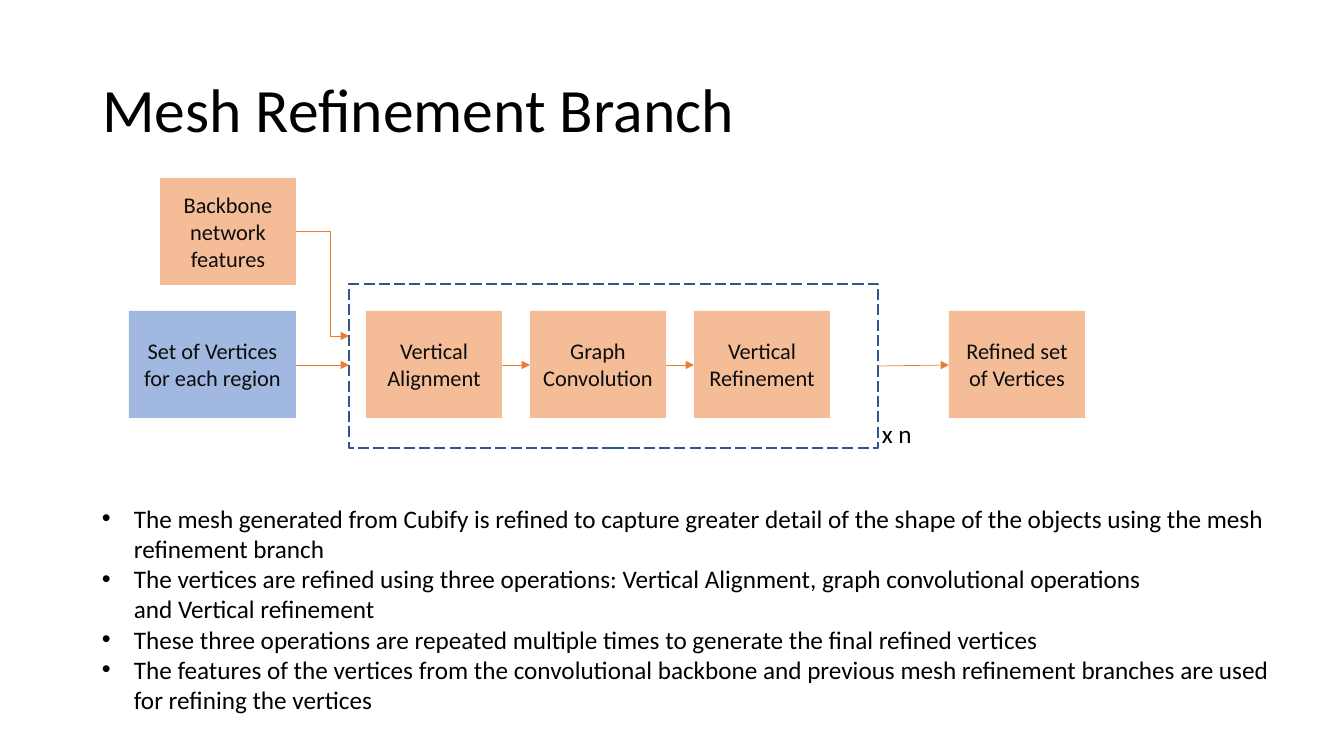
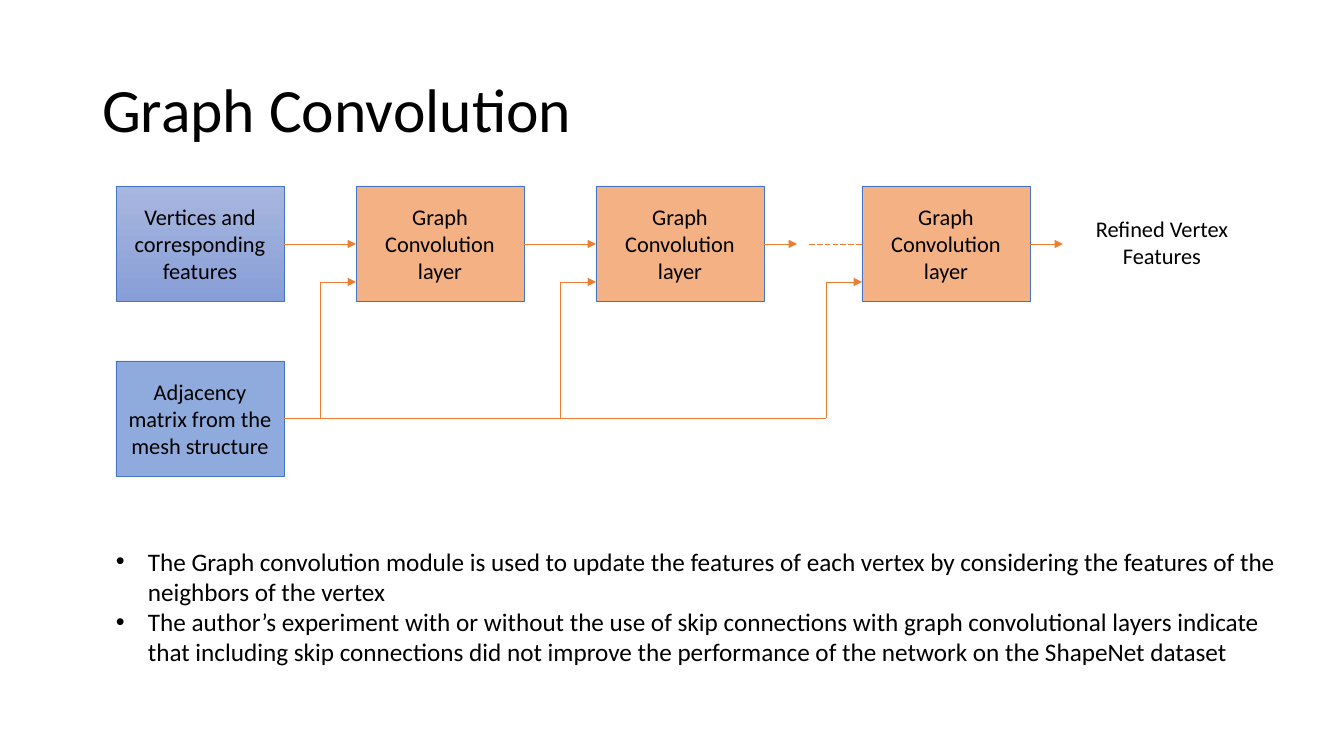
import itertools

import pptx
import pptx.dml.color
import pptx.enum.dml
import pptx.enum.shapes
import pptx.enum.text
import pptx.oxml
import pptx.oxml.ns
import pptx.util

# Content
MESH_TITLE = "Mesh Refinement Branch"
STAGES = ["Vertical Alignment", "Graph Convolution", "Vertical Refinement"]
BACKBONE = "Backbone network features"
VERTEX_SET = "Set of Vertices for each region"
REFINED_SET = "Refined set of Vertices"
REPEAT = "x n"
MESH_POINTS = [
    "The mesh generated from Cubify is refined to capture greater detail of the shape "
    "of the objects using the mesh\vrefinement branch",
    "The vertices are refined using three operations: Vertical Alignment, graph "
    "convolutional operations\vand Vertical refinement",
    "These three operations are repeated multiple times to generate the final refined vertices",
    "The features of the vertices from the convolutional backbone and previous mesh "
    "refinement branches are used\vfor refining the vertices",
]

GRAPH_TITLE = "Graph Convolution"
VERTEX_INPUT = "Vertices and corresponding features"
ADJACENCY = "Adjacency matrix from the mesh structure"
LAYER = "Graph Convolution layer"
OUTPUT = ["Refined Vertex", "Features"]
GRAPH_POINTS = [
    "The Graph convolution module is used to update the features of each vertex by "
    "considering the features of the\vneighbors of the vertex",
    "The author\u2019s experiment with or without the use of skip connections with graph "
    "convolutional layers indicate\vthat including skip connections did not improve the "
    "performance of the network on the ShapeNet dataset",
]

# Shared style
FONT = "Calibri"
BLACK, INK = "000000", "0D0D0D"
ORANGE, BLUE, NAVY = "ED7D31", "4472C4", "325491"
PEACH, SKY = "F4B183", "8FAADC"
SLATE_GRADIENT = ("A8B7DF", "889ED7")
THIN = 0.5
INDENT = 32
LEFT = pptx.enum.text.PP_ALIGN.LEFT
CENTER = pptx.enum.text.PP_ALIGN.CENTER
TOP = pptx.enum.text.MSO_ANCHOR.TOP
MIDDLE = pptx.enum.text.MSO_ANCHOR.MIDDLE
LONG_DASH = pptx.enum.dml.MSO_LINE.LONG_DASH

WIDTH, HEIGHT = 1344, 756
SCALE = 12192000 / WIDTH


def px(length):
    """Turn pixels into EMU."""
    return pptx.util.Emu(round(length * SCALE))


def color(code):
    """Turn a hex string into a colour."""
    return pptx.dml.color.RGBColor.from_string(code)


def add_xml(parent, tag, **attributes):
    """Append a DrawingML element and return it."""
    child = pptx.oxml.parse_xml(f"<a:{tag} {pptx.oxml.ns.nsdecls('a')}/>")
    for name, value in attributes.items():
        child.set(name, str(value))
    parent.append(child)
    return child


def write(shape, text, size=16, ink=BLACK, align=LEFT, anchor=TOP, wrap=True,
          spacing=None, bullets=False):
    """Write one line or a list of paragraphs into a shape."""
    frame = shape.text_frame
    frame.word_wrap = wrap
    frame.auto_size = pptx.enum.text.MSO_AUTO_SIZE.NONE
    frame.vertical_anchor = anchor
    lines = [text] if isinstance(text, str) else text
    for index, line in enumerate(lines):
        paragraph = frame.add_paragraph() if index else frame.paragraphs[0]
        paragraph.text = line
        paragraph.alignment = align
        if spacing:
            paragraph.line_spacing = spacing
        for run in paragraph.runs:
            run.font.name = FONT
            run.font.size = pptx.util.Pt(size)
            run.font.color.rgb = color(ink)
        if bullets:
            properties = paragraph._p.get_or_add_pPr()
            properties.set("marL", str(px(INDENT)))
            properties.set("indent", str(-px(INDENT)))
            add_xml(properties, "buFont", typeface="Arial")
            add_xml(properties, "buChar", char="\u2022")


def add_text(slide, text, left, top, width, height, **style):
    """Add a text box."""
    box = slide.shapes.add_textbox(px(left), px(top), px(width), px(height))
    write(box, text, **style)


def add_box(slide, text, left, top, width, height, fill=None, opacity=100,
            line=None, weight=THIN, dash=None, ink=BLACK):
    """Add a rectangle; a pair of fills makes a downward gradient."""
    box = slide.shapes.add_shape(pptx.enum.shapes.MSO_SHAPE.RECTANGLE,
                                 px(left), px(top), px(width), px(height))
    box.shadow.inherit = False
    if fill is None:
        box.fill.background()
    elif isinstance(fill, tuple):
        box.fill.gradient()
        box.fill.gradient_angle = 270
        for stop, code in zip(box.fill.gradient_stops, fill):
            stop.color.rgb = color(code)
    else:
        box.fill.solid()
        box.fill.fore_color.rgb = color(fill)
        if opacity < 100:
            tint = next(box.element.spPr.iter(pptx.oxml.ns.qn("a:srgbClr")))
            add_xml(tint, "alpha", val=opacity * 1000)
    if line:
        box.line.color.rgb = color(line)
        box.line.width = pptx.util.Pt(weight)
        box.line.dash_style = dash
    else:
        box.line.fill.background()
    if text:
        write(box, text, ink=ink, align=CENTER, anchor=MIDDLE)


def add_route(slide, *points, arrow=True, dash=None):
    """Join points with straight lines, the last one with an arrowhead."""
    for start, end in itertools.pairwise(points):
        segment = slide.shapes.add_connector(
            pptx.enum.shapes.MSO_CONNECTOR.STRAIGHT,
            px(start[0]), px(start[1]), px(end[0]), px(end[1]))
        segment.line.color.rgb = color(ORANGE)
        segment.line.width = pptx.util.Pt(THIN)
        segment.line.dash_style = dash
        properties = segment.element.spPr
        if arrow and end == points[-1]:
            add_xml(properties.find(pptx.oxml.ns.qn("a:ln")), "tailEnd", type="triangle")
        add_xml(properties, "effectLst")


def add_slide(deck, title):
    """Add a title-only slide with the shared title style."""
    slide = deck.slides.add_slide(deck.slide_layouts[5])
    heading = slide.shapes.title
    heading.left, heading.top = px(92), px(40)
    heading.width, heading.height = px(1159), px(146)
    write(heading, title, size=44, anchor=MIDDLE, spacing=0.9)
    return slide


def build_mesh_slide(deck):
    """Draw the repeated refinement stages and their inputs."""
    slide = add_slide(deck, MESH_TITLE)
    box_w, box_h, row = 136, 107, 311
    flow = row + 54
    inputs_right = 296
    frame_left, frame_top, frame_w, frame_h = 349, 284, 529, 164
    frame_right = frame_left + frame_w
    first, pitch = 366, 164
    backbone_top, refined_left = 178, 949
    soft = dict(opacity=50, ink=INK)

    add_box(slide, VERTEX_SET, 129, row, inputs_right - 129, box_h, fill=BLUE, **soft)
    add_box(slide, BACKBONE, inputs_right - box_w, backbone_top, box_w, box_h,
            fill=ORANGE, **soft)
    for index, stage in enumerate(STAGES):
        left = first + index * pitch
        add_box(slide, stage, left, row, box_w, box_h, fill=ORANGE, **soft)
        if index:
            add_route(slide, (left - pitch + box_w, flow), (left, flow))
    add_box(slide, REFINED_SET, refined_left, row, box_w, box_h, fill=ORANGE, **soft)
    add_box(slide, None, frame_left, frame_top, frame_w, frame_h,
            line=NAVY, weight=1, dash=LONG_DASH)
    add_text(slide, REPEAT, 872, 413, 50, 40, size=18, wrap=False)

    add_route(slide, (inputs_right, flow), (frame_left, flow))
    add_route(slide, (inputs_right, 231), (330, 231), (330, 336), (frame_left, 336))
    add_route(slide, (frame_right, flow + 1), (refined_left, flow))
    add_text(slide, MESH_POINTS, 92, 498, 1202, 224, size=18, bullets=True)


def build_graph_slide(deck):
    """Draw the chain of layers fed by the adjacency matrix."""
    slide = add_slide(deck, GRAPH_TITLE)
    box_w, box_h, row = 168, 115, 186
    flow, feed, bus = row + 58, row + 96, 418
    input_left = 116
    layers = [356, 596, 862]
    taps = [left - 36 for left in layers]
    outlined = dict(line=BLUE)

    add_box(slide, VERTEX_INPUT, input_left, row, box_w, box_h,
            fill=SLATE_GRADIENT, **outlined)
    add_box(slide, ADJACENCY, input_left, 361, box_w, box_h, fill=SKY, **outlined)
    for left in layers:
        add_box(slide, LAYER, left, row, box_w, box_h, fill=PEACH, **outlined)

    for source, target in itertools.pairwise([input_left] + layers[:2]):
        add_route(slide, (source + box_w, flow), (target, flow))
    for left in layers[1:]:
        add_route(slide, (left + box_w, flow), (left + box_w + 33, flow))
    add_route(slide, (809, flow), (layers[-1], flow), arrow=False, dash=LONG_DASH)

    for start, tap, left in zip([input_left + box_w] + taps, taps, layers):
        add_route(slide, (start, bus), (tap, bus), (tap, feed), (left, feed))

    add_text(slide, OUTPUT, 1082, 210, 160, 64, align=CENTER)
    add_text(slide, GRAPH_POINTS, 106, 541, 1196, 132, size=18, bullets=True)


deck = pptx.Presentation()
deck.slide_width, deck.slide_height = px(WIDTH), px(HEIGHT)
build_mesh_slide(deck)
build_graph_slide(deck)
deck.save("out.pptx")
